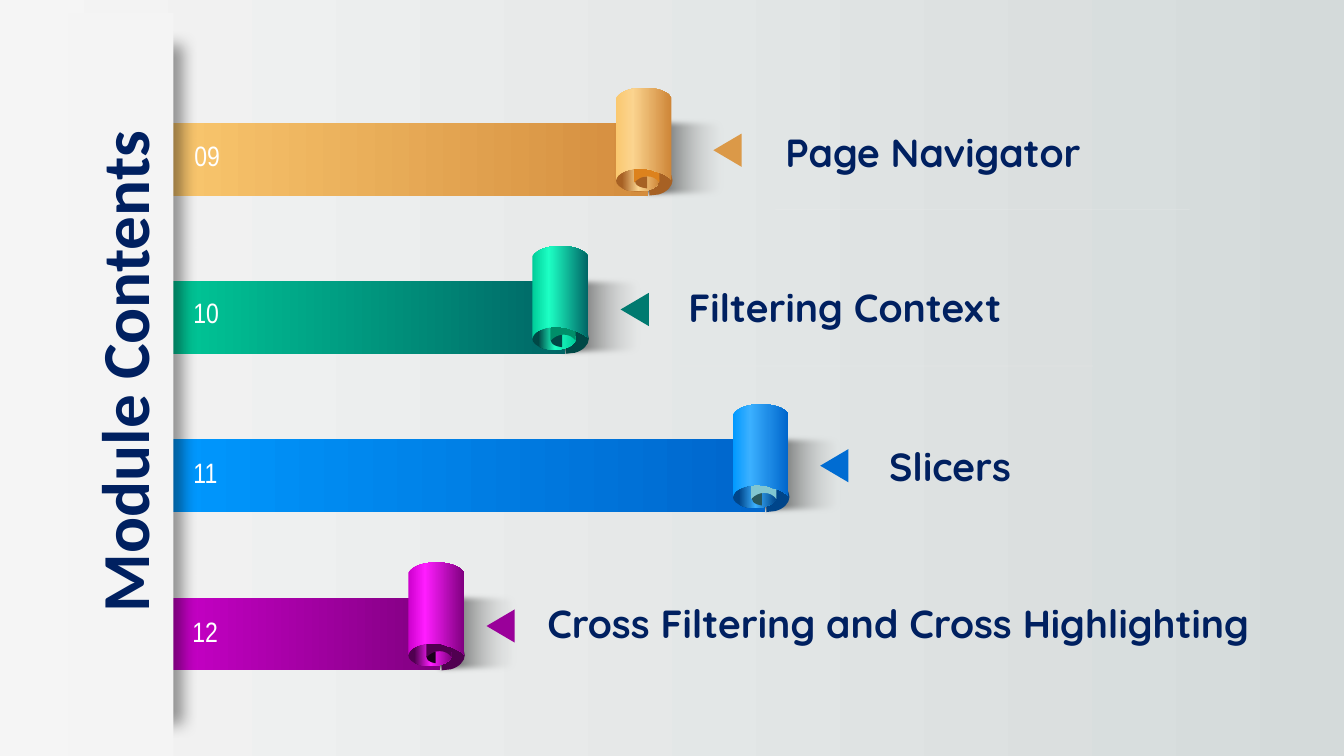
"""Build the module contents slide with four curled ribbons."""
from dataclasses import dataclass
from math import cos, radians, sin
from lxml import etree
from pptx import Presentation
from pptx.dml.color import RGBColor
from pptx.enum.shapes import MSO_CONNECTOR, MSO_SHAPE
from pptx.enum.text import MSO_ANCHOR, MSO_AUTO_SIZE, PP_ALIGN
from pptx.oxml import parse_xml
from pptx.oxml.ns import nsdecls, qn
from pptx.util import Inches, Pt

RECT, OVAL = MSO_SHAPE.RECTANGLE, MSO_SHAPE.OVAL
ARROW, LINE = MSO_SHAPE.ISOSCELES_TRIANGLE, MSO_CONNECTOR.STRAIGHT
LEFT, CENTER = PP_ALIGN.LEFT, PP_ALIGN.CENTER
TOP, GROW, FIXED = MSO_ANCHOR.TOP, MSO_AUTO_SIZE.SHAPE_TO_FIT_TEXT, MSO_AUTO_SIZE.NONE


@dataclass(frozen=True)
class Theme:
    ink: str = "002060"
    white: str = "FFFFFF"
    panel: str = "F4F4F4"
    rule: str = "F2F2F2"
    back: tuple = ((0, "F5F5F5"), (100, "D4DADA"))
    shade: tuple = ((0, "E9EBEA", 0), (100, "000000"))
    title: tuple = ("Calibri", 48)
    label: tuple = ("Quicksand", 28)
    number: tuple = ("Arial Narrow", 20)


THEME = Theme()
WIDE, HIGH = 13.33, 7.5
EDGE, TOPS = 1.51, (0.87, 2.44, 4.01, 5.58)
TITLE = "Module Contents"

ROWS = [
    dict(no="09", label="Page Navigator", curl=6.11, count=(1.83, 1.33), tip=(7.05, 1.35),
         text=(7.69, 1.22), width=4.15, rule=2.08, pit=(.19, .87, .12, .13),
         start="FAC86F", end="D48D3E", shine="FBD48F", edge="CE8537", rim="CE8537",
         dark="A76124", hole="A76124", inner="DD821D", arrow="DB9948"),
    dict(no="10", label="Filtering Context", curl=5.28, count=(1.82, 2.88), tip=(6.13, 2.93),
         text=(6.73, 2.76), width=6.26, rule=3.63, pit=(.18, .88, .12, .12),
         start="00CC99", end="006666", shine="1DFFC4", edge="006666", rim="00CC99",
         dark="004846", hole="004846", inner="008E69", arrow="007A70"),
    dict(no="11", label="Slicers", curl=7.27, count=(1.82, 4.47), tip=(8.11, 4.48),
         text=(8.72, 4.34), width=4.28, rule=None, pit=(.17, .88, .13, .11),
         start="0099FF", end="0066CC", shine="3BB0FF", edge="0066CC", rim="00458A",
         dark="00458A", hole="28585E", inner="81C6D1", arrow="006CD2"),
    dict(no="12", label="Cross Filtering and Cross Highlighting", curl=4.05,
         count=(1.81, 6.05), tip=(4.8, 6.07),
         text=(5.33, 5.9), width=7.24, rule=None, pit=(.17, .89, .11, .1),
         start="CC00CC", end="800080", shine="FF1DFF", edge="800080", rim="800080",
         dark="500050", hole="1A001A", inner="500050", arrow="9A009A"),
]

TAIL = dict(box=(.29, .8, .31, .23), turn=90, parts=[
    (.56, .92), (.56, .98, .5, 1.04, .42, 1.06), (.33, 1.07), (.33, .76),
    (.42, .77), (.5, .8, .56, .85, .56, .92)])
HOLE = dict(box=(.19, .87, .12, .13), turn=270, parts=[
    (.19, .93), (.19, .96, .22, .98, .26, .99), (.31, 1), (.31, .88),
    (.26, .88), (.22, .89, .19, .91, .19, .93)])
INNER = dict(box=(.18, .46, .25, .48), turn=0, parts=[
    (.18, .51), (.22, .44, .39, .44, .43, .51), (.43, .94),
    (.4, .9, .36, .88, .31, .88), (.26, .88, .22, .9, .18, .94)])
FRONT = dict(box=(0, 0, .55, .92), turn=0, parts=[
    (.28, 0), (.39, 0, .51, .03, .55, .1), (.55, .91),
    (.52, .88, .48, .86, .43, .84), (.39, .83), (.34, .81),
    (.31, .81, .28, .8, .24, .8), (.13, .8, .03, .84, .01, .89),
    (0, .92), (0, .1), (.05, .03, .16, 0, .28, 0)])


def grade(fill, owner, stops):
    fill.solid()
    old = owner.find(".//" + qn("a:solidFill"))
    new = parse_xml(f'<a:gradFill {nsdecls("a")} rotWithShape="1"><a:gsLst/>'
                    '<a:lin ang="0" scaled="0"/></a:gradFill>')
    for place, color, *alpha in stops:
        stop = etree.SubElement(new[0], qn("a:gs"), pos=str(place * 1000))
        tone = etree.SubElement(stop, qn("a:srgbClr"), val=color)
        for share in alpha:
            etree.SubElement(tone, qn("a:alpha"), val=str(share * 1000))
    old.getparent().replace(old, new)


def paint(shape, color):
    shape.shadow.inherit = False
    shape.line.fill.background()
    if isinstance(color, str):
        shape.fill.solid()
        shape.fill.fore_color.rgb = RGBColor.from_string(color)
    else:
        grade(shape.fill, shape.element, color)
    return shape


def block(slide, kind, x, y, w, h, color):
    box = [Inches(v) for v in (x, y, w, h)]
    return paint(slide.shapes.add_shape(kind, *box), color)


def effect(shape, xml):
    group = shape.element.spPr.find(qn("a:effectLst"))
    group.append(parse_xml(xml))


def local(x, y, box, turn):
    left, top, w, h = box
    dx, dy = x - left - w / 2, y - top - h / 2
    c, s = cos(radians(turn)), sin(radians(turn))
    return Inches(dx * c + dy * s + w / 2), Inches(dy * c - dx * s + h / 2)


def outline(slide, x, y, color, *, box, turn, parts, place=None):
    left, top, w, h = place or box
    pen = slide.shapes.build_freeform(0, 0)
    pen.add_line_segments([(Inches(box[2]), 0), (Inches(box[2]), Inches(box[3]))])
    shape = paint(pen.convert_to_shape(), color)
    shape.left, shape.top = Inches(x + left), Inches(y + top)
    shape.width, shape.height, shape.rotation = Inches(w), Inches(h), turn
    track = shape.element.find(".//" + qn("a:path"))
    for step in list(track):
        track.remove(step)
    for i, part in enumerate(parts):
        kind = "a:moveTo" if i == 0 else "a:lnTo" if len(part) == 2 else "a:cubicBezTo"
        step = etree.SubElement(track, qn(kind))
        for a, b in zip(part[::2], part[1::2]):
            u, v = local(a, b, box, turn)
            etree.SubElement(step, qn("a:pt"), x=str(u), y=str(v))
    etree.SubElement(track, qn("a:close"))


def write(shape, text, *, style, color, bold=False, align=LEFT, fit=GROW):
    frame = shape.text_frame
    frame.word_wrap, frame.auto_size, frame.vertical_anchor = True, fit, TOP
    line = frame.paragraphs[0]
    line.text, line.alignment = text, align
    font = line.runs[0].font
    font.name, font.size, font.bold = style[0], Pt(style[1]), bold
    font.color.rgb = RGBColor.from_string(color)


def area(slide, x, y, w, h):
    return slide.shapes.add_textbox(*(Inches(v) for v in (x, y, w, h)))


def ribbon(slide, row, y):
    x = row["curl"]
    shade = block(slide, RECT, x + .21, y + .27, .93, .86, THEME.shade)
    shade.element.spPr.find(qn("a:xfrm")).set("flipH", "1")
    effect(shade, f'<a:softEdge {nsdecls("a")} rad="{Pt(5)}"/>')
    outline(slide, x, y, row["dark"], **TAIL)
    block(slide, RECT, EDGE, y + .35, x + .32 - EDGE, .72, ((0, row["start"]), (100, row["end"])))
    block(slide, OVAL, x, y + .81, .43, .22,
          ((14, row["dark"]), (52, row["shine"]), (100, row["rim"])))
    outline(slide, x, y, row["hole"], place=row["pit"], **HOLE)
    outline(slide, x, y, row["inner"], **INNER)
    outline(slide, x, y, ((0, row["start"]), (30, row["shine"]), (100, row["edge"])), **FRONT)


def panel(slide):
    strip = block(slide, RECT, 1.16, .45, .55, 6.72, THEME.panel)
    effect(strip, f'<a:outerShdw {nsdecls("a")} blurRad="{Pt(11)}" dist="{Pt(7)}" dir="0">'
                  '<a:srgbClr val="000000"><a:alpha val="40000"/></a:srgbClr></a:outerShdw>')
    block(slide, RECT, .68, .13, 1.04, HIGH - .13, THEME.panel)


def caption(slide, row):
    write(area(slide, *row["count"], .55, .44), row["no"], style=THEME.number, color=THEME.white)
    block(slide, ARROW, *row["tip"], .33, .28, row["arrow"]).rotation = 270
    write(area(slide, *row["text"], row["width"], .57), row["label"],
          style=THEME.label, color=THEME.ink, bold=True)
    if row["rule"]:
        x, y = row["text"][0], row["rule"]
        rule = slide.shapes.add_connector(LINE, *(Inches(v) for v in (x, y, x + 4.11, y)))
        rule.line.width = Pt(.5)
        rule.line.color.rgb = RGBColor.from_string(THEME.rule)
        tone = rule.element.find(".//" + qn("a:srgbClr"))
        etree.SubElement(tone, qn("a:alpha"), val="30000")
        etree.SubElement(rule.element.spPr, qn("a:effectLst"))


def main():
    deck = Presentation()
    deck.slide_width, deck.slide_height = Inches(WIDE), Inches(HIGH)
    slide = deck.slides.add_slide(deck.slide_layouts[5])
    grade(slide.background.fill, slide.element, THEME.back)
    for row, y in zip(ROWS, TOPS):
        ribbon(slide, row, y)
    panel(slide)
    for row in ROWS:
        caption(slide, row)
    title = slide.shapes.title
    title.left, title.top, title.width, title.height = (
        Inches(v) for v in (-2.46, 3.23, 7.37, .91))
    title.rotation = 270
    write(title, TITLE, style=THEME.title, color=THEME.ink, bold=True, align=CENTER, fit=FIXED)
    title.element.getparent().append(title.element)
    deck.save("out.pptx")


if __name__ == "__main__":
    main()
